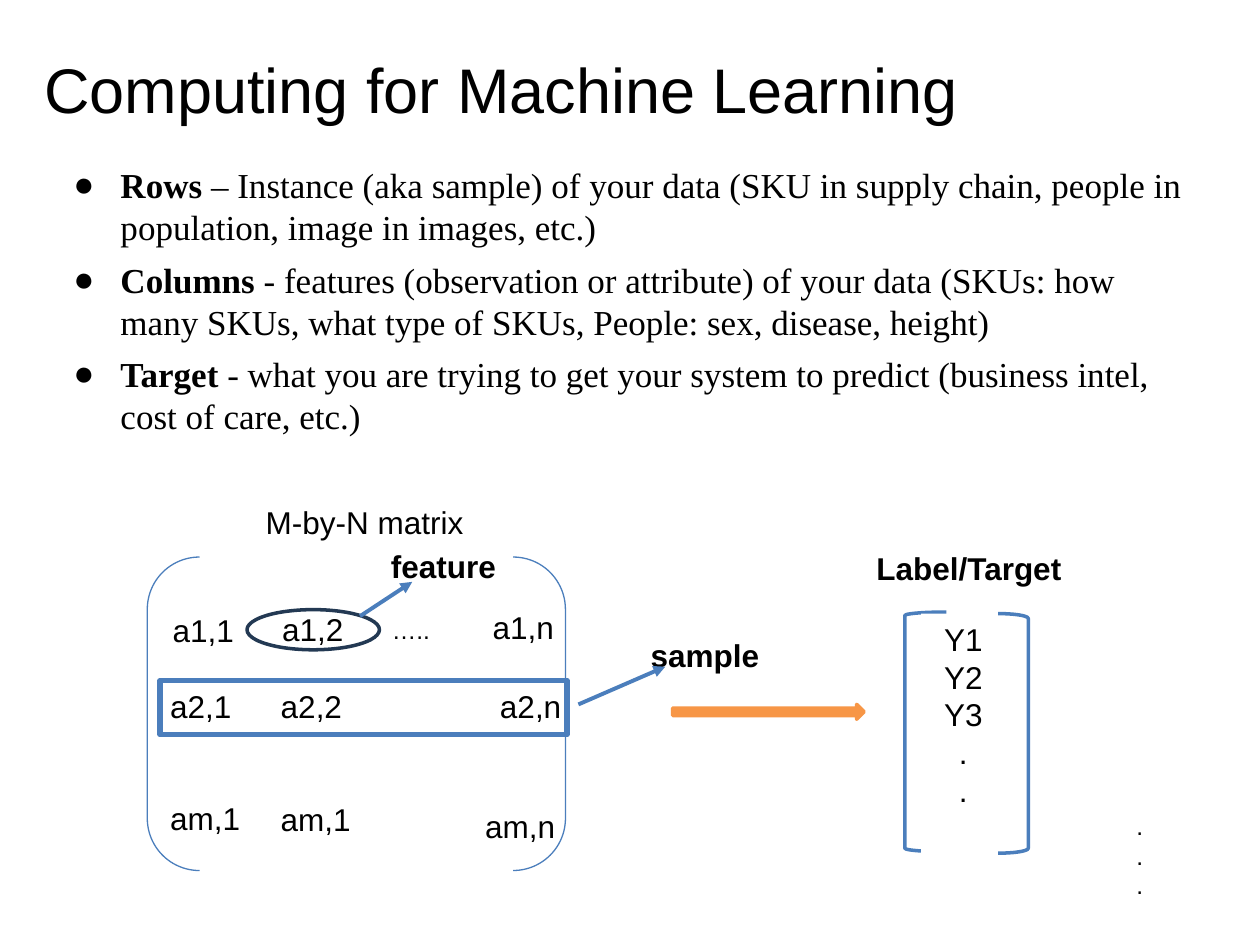
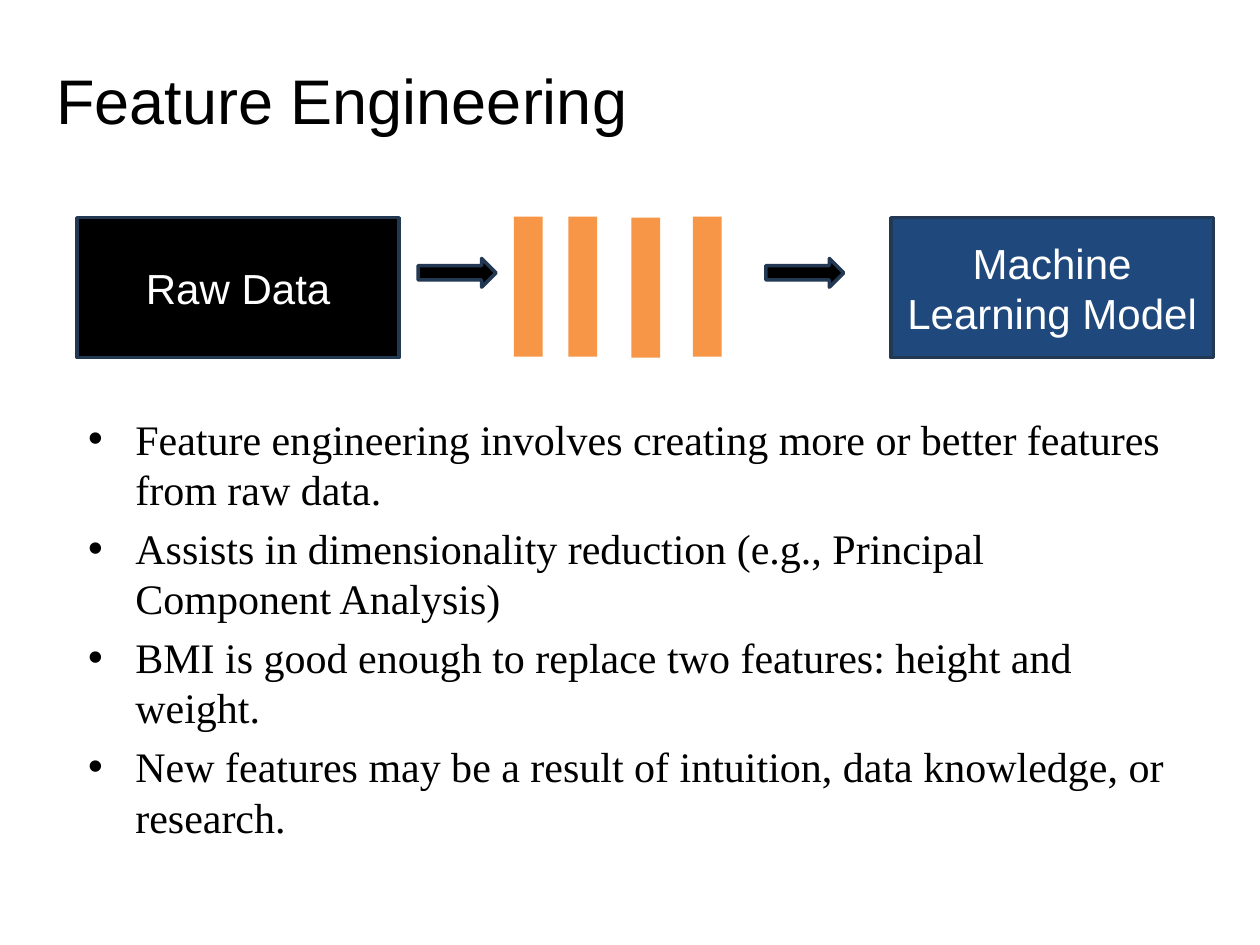
from lxml import etree
from pptx import Presentation
from pptx.dml.color import RGBColor
from pptx.enum.shapes import MSO_CONNECTOR as Link, MSO_SHAPE as Form
from pptx.enum.text import MSO_ANCHOR as Anchor, PP_ALIGN as Align
from pptx.oxml.ns import qn
from pptx.util import Cm, Pt

BLACK, WHITE = "000000", "FFFFFF"
BLUE, NAVY, DEEP, ORANGE = "4B7EBC", "233953", "1F497D", "F79646"
SANS, SERIF = "Arial", "Times New Roman"

MATRIX_POINTS = [
    ("Rows", " – Instance (aka sample) of your data (SKU in supply chain, people in "
             "population, image in images, etc.)"),
    ("Columns", " - features (observation or attribute) of your data (SKUs: how many SKUs, "
                "what type of SKUs, People: sex, disease, height)"),
    ("Target ", "- what you are trying to get your system to predict (business intel, "
                "cost of care, etc.)"),
]
FEATURE_POINTS = [
    ("", "Feature engineering involves creating more or better features from raw data."),
    ("", "Assists in dimensionality reduction (e.g., Principal Component Analysis)"),
    ("", "BMI is good enough to replace two features: height and weight."),
    ("", "New features may be a result of intuition, data knowledge, or research."),
]
MATRIX_CELLS = [
    ("a1,1", 3.23, 12.19), ("a1,2", 5.44, 12.17), ("a1,n", 9.68, 12.14),
    ("a2,1", 3.18, 13.72), ("a2,2", 5.41, 13.72), ("a2,n", 9.83, 13.72),
    ("am,1", 3.18, 15.98), ("am,1", 5.41, 16.0), ("am,n", 9.53, 16.15),
]
BOLD_LABELS = [
    ("sample", (12.62, 12.7, 3.18, 1.02), Align.CENTER),
    ("feature", (7.39, 10.9, 3.1, 1.02), Align.CENTER),
    ("Label/Target", (17.42, 10.95, 4.65, 1.02), Align.LEFT),
]
CALLOUT_ARROWS = [(7.26, 12.42, 8.31, 11.73), (11.66, 14.2, 13.41, 13.44)]
STAGES = [("Raw Data", 1.55, BLACK), ("Machine Learning Model", 17.96, DEEP)]
FEATURE_BARS = [(10.36, 4.37), (11.46, 4.37), (12.73, 4.39), (13.97, 4.37)]
FLOW_ARROWS = [8.43, 15.44]


def color(value):
    return RGBColor.from_string(value)


def lengths(numbers):
    return [Cm(number) for number in numbers]


def style(para, size, font=SANS, fill=BLACK, bold=None):
    for span in para.runs:
        span.font.name, span.font.size = font, Pt(size)
        span.font.color.rgb = color(fill)
        if bold is not None:
            span.font.bold = bold


def write(shape, text, size, fill=BLACK, align=Align.LEFT, anchor=Anchor.TOP,
          bold=False, wrap=True):
    frame = shape.text_frame
    frame.text = text
    frame.word_wrap = wrap
    frame.vertical_anchor = anchor
    for para in frame.paragraphs:
        para.alignment = align
        style(para, size, fill=fill, bold=bold)


def add_text(page, area, text, size, **options):
    box = page.shapes.add_textbox(*lengths(area))
    write(box, text, size, **options)
    return box


def set_insets(frame):
    frame.margin_left = frame.margin_right = Cm(0.25)
    frame.margin_top = frame.margin_bottom = Cm(0.25)


def add_title(page, text, left, top):
    box = add_text(page, (left, top, 22.86, 2.54), text, 36, anchor=Anchor.MIDDLE)
    set_insets(box.text_frame)


def add_bullets(page, area, points, size, symbol, indent, before=0, after=0):
    frame = page.shapes.add_textbox(*lengths(area)).text_frame
    frame.word_wrap = True
    set_insets(frame)
    for index, (lead, rest) in enumerate(points):
        para = frame.paragraphs[0] if index == 0 else frame.add_paragraph()
        para.space_before = Pt(before if index else 0)
        para.space_after = Pt(after)
        props = para._p.get_or_add_pPr()
        props.set("marL", str(Cm(indent)))
        props.set("indent", str(-Cm(0.95)))
        bullet_color = etree.SubElement(props, qn("a:buClr"))
        etree.SubElement(bullet_color, qn("a:srgbClr"), val=BLACK)
        etree.SubElement(props, qn("a:buFont"), typeface=SANS)
        etree.SubElement(props, qn("a:buChar"), char=symbol)
        for text, bold in ((lead, True), (rest, False)):
            if text:
                span = para.add_run()
                span.text = text
                span.font.bold = bold
        style(para, size, SERIF)


def add_form(page, form, area, fill=None, line=None, width=2):
    shape = page.shapes.add_shape(form, *lengths(area))
    shape.shadow.inherit = False
    if fill:
        shape.fill.solid()
        shape.fill.fore_color.rgb = color(fill)
    else:
        shape.fill.background()
    if line:
        shape.line.color.rgb = color(line)
        shape.line.width = Pt(width)
    else:
        shape.line.fill.background()
    return shape


def add_arrow(page, ends):
    arrow = page.shapes.add_connector(Link.STRAIGHT, *lengths(ends))
    arrow.line.color.rgb = color(BLUE)
    arrow.line.width = Pt(2.25)
    etree.SubElement(arrow.line._get_or_add_ln(), qn("a:tailEnd"), type="triangle")
    etree.SubElement(arrow._element.spPr, qn("a:effectLst"))


def build_matrix_page(page):
    add_title(page, "Computing for Machine Learning", 0.64, 0.51)
    add_bullets(page, (0.91, 3.05, 23.22, 12.07), MATRIX_POINTS, 20, "●", 1.27, after=6)
    for text, area, align in BOLD_LABELS:
        add_text(page, area, text, 18, align=align, bold=True)

    add_form(page, Form.LEFT_BRACKET, (18.24, 12.34, 0.84, 4.83), line=BLUE)
    targets = add_form(page, Form.RECTANGLE, (18.57, 12.37, 1.7, 4.88), WHITE)
    write(targets, "Y1\nY2\nY3\n.\n.", 18, align=Align.CENTER)
    add_text(page, (22.66, 16.23, 0.66, 2.64), ".\n.\n.", 14, wrap=False)
    bracket = add_form(page, Form.RIGHT_BRACKET, (20.12, 12.37, 0.61, 4.83), line=BLUE)
    bracket.adjustments[0] = 0.16
    add_form(page, Form.RIGHT_ARROW, (13.56, 14.2, 3.86, 0.3), ORANGE, ORANGE)

    add_form(page, Form.DOUBLE_BRACKET, (2.97, 11.23, 8.43, 6.32), line=BLUE, width=0.75)
    for text, left, top in MATRIX_CELLS:
        add_text(page, (left, top, 1.93 if text.startswith("am") else 1.75, 1.02),
                 text, 18, wrap=False)
    add_text(page, (7.65, 12.27, 1.32, 0.86), "…..", 14)
    add_text(page, (2.41, 10.01, 9.88, 1.02), "M-by-N matrix", 18, align=Align.CENTER)
    add_form(page, Form.OVAL, (4.98, 12.29, 2.67, 0.81), line=NAVY)
    add_form(page, Form.RECTANGLE, (3.23, 13.72, 8.2, 1.09), line=BLUE, width=3.25)
    for ends in CALLOUT_ARROWS:
        add_arrow(page, ends)


def build_feature_page(page):
    add_title(page, "Feature Engineering", 0.89, 0.74)
    add_bullets(page, (0.91, 8.08, 22.86, 12.07), FEATURE_POINTS, 24, "•", 1.57, before=4.8)
    for text, left, fill in STAGES:
        stage = add_form(page, Form.RECTANGLE, (left, 4.39, 6.5, 2.82), fill, NAVY)
        write(stage, text, 24, WHITE, Align.CENTER, Anchor.MIDDLE)
    for left, top in FEATURE_BARS:
        add_form(page, Form.RECTANGLE, (left, top, 0.58, 2.82), ORANGE)
    for left in FLOW_ARROWS:
        add_form(page, Form.RIGHT_ARROW, (left, 5.21, 1.57, 0.58), BLACK, NAVY)


def main():
    deck = Presentation()
    deck.slide_width, deck.slide_height = Cm(25.4), Cm(19.05)
    for build in (build_matrix_page, build_feature_page):
        build(deck.slides.add_slide(deck.slide_layouts[6]))
    deck.save("out.pptx")


if __name__ == "__main__":
    main()
